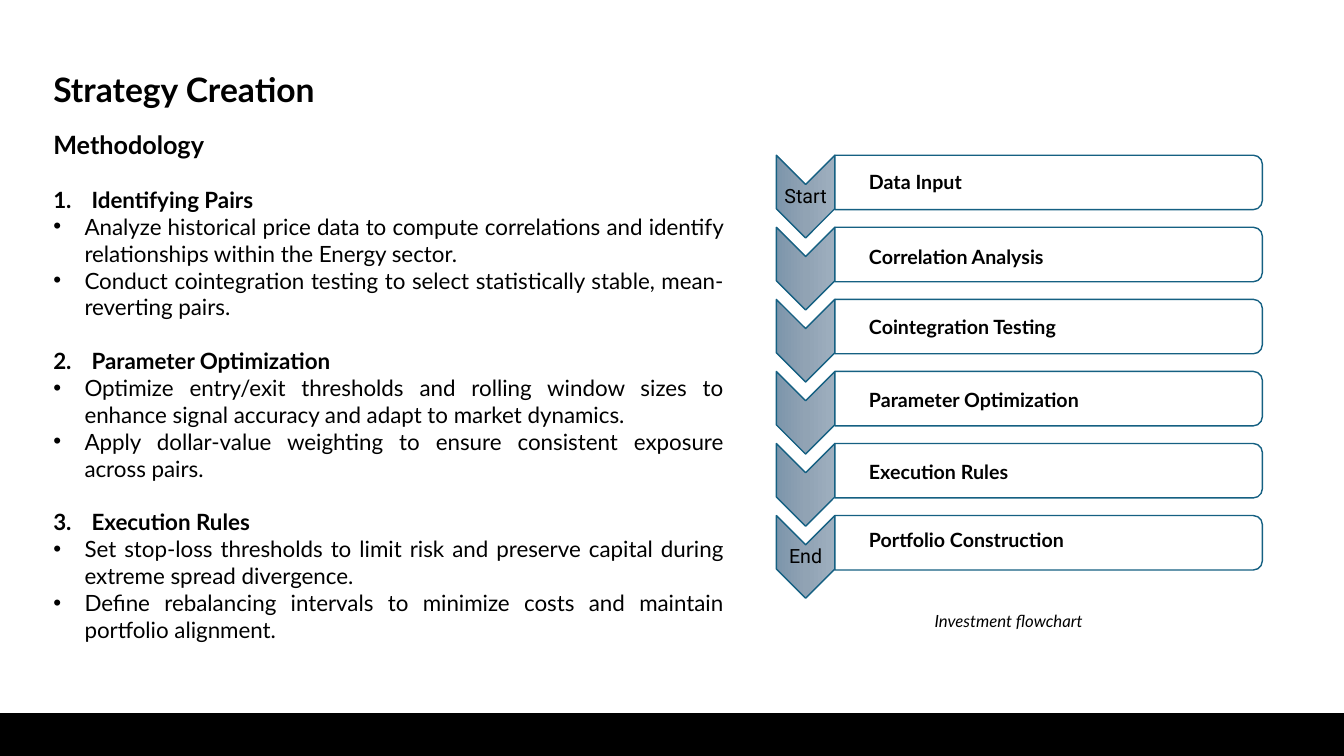
from lxml import etree
from pptx import Presentation
from pptx.dml.color import RGBColor
from pptx.enum.shapes import MSO_SHAPE
from pptx.enum.text import MSO_ANCHOR, PP_ALIGN
from pptx.oxml import parse_xml
from pptx.oxml.ns import qn
from pptx.util import Inches, Pt

RECTANGLE = MSO_SHAPE.RECTANGLE
CHEVRON = MSO_SHAPE.CHEVRON
STEP_BAR = MSO_SHAPE.ROUND_2_SAME_RECTANGLE
LEFT, CENTER, JUSTIFY = PP_ALIGN.LEFT, PP_ALIGN.CENTER, PP_ALIGN.JUSTIFY
MIDDLE = MSO_ANCHOR.MIDDLE

BLACK, WHITE, TEAL = "000000", "FFFFFF", "156082"
GRADIENT = (
    '<a:gradFill xmlns:a="http://schemas.openxmlformats.org/drawingml/2006/main" rotWithShape="1"><a:gsLst>'
    '<a:gs pos="0"><a:srgbClr val="9EAFBF"/></a:gs>'
    '<a:gs pos="50000"><a:srgbClr val="91A3B4"/></a:gs>'
    '<a:gs pos="100000"><a:srgbClr val="7C95AB"/></a:gs>'
    '</a:gsLst><a:lin ang="5400000" scaled="0"/></a:gradFill>'
)

deck = Presentation()
deck.slide_width, deck.slide_height = Inches(13.33), Inches(7.5)
slide = deck.slides.add_slide(deck.slide_layouts[6])


def add_block(preset, left, top, width, height, fill, line, weight, turn=0):
    block = slide.shapes.add_shape(preset, Inches(left), Inches(top), Inches(width), Inches(height))
    block.shadow.inherit = False
    block.rotation = turn
    block.fill.solid()
    block.fill.fore_color.rgb = RGBColor.from_string(fill)
    block.line.color.rgb = RGBColor.from_string(line)
    block.line.width = Pt(weight)
    return block


def add_text(left, top, width, height, lines, size, font="Lato", bold=False, align=LEFT):
    frame = slide.shapes.add_textbox(Inches(left), Inches(top), Inches(width), Inches(height)).text_frame
    frame.word_wrap = True
    for index, line in enumerate(lines):
        paragraph = frame.add_paragraph() if index else frame.paragraphs[0]
        paragraph.text = line
        paragraph.alignment = align
        paragraph.font.name = font
        paragraph.font.size = Pt(size)
        paragraph.font.bold = bold
        paragraph.font.color.rgb = RGBColor.from_string(BLACK)
    return frame


add_block(RECTANGLE, 0, 7.08, 13.33, 0.42, BLACK, BLACK, 1.5)
add_text(0.43, 0.63, 10.95, 0.5, ["Strategy Creation"], 24, bold=True)

methods = [
    ("Identifying Pairs",
     "Analyze historical price data to compute correlations and identify relationships within the Energy sector.",
     "Conduct cointegration testing to select statistically stable, mean-reverting pairs."),
    ("Parameter Optimization",
     "Optimize entry/exit thresholds and rolling window sizes to enhance signal accuracy and adapt to market dynamics.",
     "Apply dollar-value weighting to ensure consistent exposure across pairs."),
    ("Execution Rules",
     "Set stop-loss thresholds to limit risk and preserve capital during extreme spread divergence.",
     "Define rebalancing intervals to minimize costs and maintain portfolio alignment."),
]
method_lines = [line for method in methods for line in method]
methodology = add_text(0.43, 1.23, 6.85, 5.65, ["Methodology"] + method_lines, 16, align=JUSTIFY)
heading, *entries = methodology.paragraphs
heading.alignment = LEFT
heading.font.size = Pt(18)
heading.font.bold = True
for index, entry in enumerate(entries):
    number, position = divmod(index, len(methods[0]))
    is_title = position == 0
    indent = Inches(0.38 if is_title else 0.31)
    properties = entry._p.get_or_add_pPr()
    properties.set("marL", str(indent))
    properties.set("indent", str(-indent))
    if is_title:
        entry.font.bold = True
        entry.space_before = Pt(19.2)
        etree.SubElement(properties, qn("a:buFont"), typeface="+mj-lt")
        marker = etree.SubElement(properties, qn("a:buAutoNum"), type="arabicPeriod", startAt=str(number + 1))
    else:
        etree.SubElement(properties, qn("a:buFont"), typeface="Arial")
        marker = etree.SubElement(properties, qn("a:buChar"), char="•")
    run_defaults = properties.find(qn("a:defRPr"))
    properties.remove(run_defaults)
    properties.append(run_defaults)

caption = add_text(9.17, 6.01, 1.78, 0.3, ["Investment flowchart"], 12)
caption.word_wrap = False
caption.paragraphs[0].font.italic = True

steps = [
    ("Data Input", 1.64, "Start"),
    ("Correlation Analysis", 2.38, ""),
    ("Cointegration Testing", 3.08, ""),
    ("Parameter Optimization", 3.8, ""),
    ("Execution Rules", 4.51, ""),
    ("Portfolio Construction", 5.19, "End"),
]
flow_left, flow_top, pitch = 7.7, 1.54, 0.715
arrow_width, arrow_height = 0.58, 0.82
bar_width, bar_height = 4.24, 0.54
arrow_shift = (arrow_height - arrow_width) / 2
bar_shift = (bar_width - bar_height) / 2
for row, (step, label_top, tag) in enumerate(steps):
    top = flow_top + row * pitch
    arrow = add_block(CHEVRON, flow_left - arrow_shift, top + arrow_shift,
                      arrow_height, arrow_width, WHITE, TEAL, 1, turn=90)
    arrow_fill = arrow._element.spPr.find(qn("a:solidFill"))
    arrow_fill.getparent().replace(arrow_fill, parse_xml(GRADIENT))
    if tag:
        tag_frame = add_text(flow_left, top + 0.29, arrow_width, 0.25, [tag], 14, "Roboto", align=CENTER)
        tag_frame.vertical_anchor = MIDDLE
        tag_frame.margin_left = tag_frame.margin_right = Inches(0.01)
        tag_frame.margin_top = tag_frame.margin_bottom = Inches(0.01)
        tag_frame.paragraphs[0].line_spacing = 0.9
    bar = add_block(STEP_BAR, flow_left + arrow_width + bar_shift, top - bar_shift,
                    bar_height, bar_width, WHITE, TEAL, 1, turn=90)
    bar_color = bar._element.spPr.find(qn("a:solidFill"))[0]
    etree.SubElement(bar_color, qn("a:alpha"), val="90000")
    add_text(8.52, label_top, 3.58, 0.34, [step], 14, bold=True)

deck.save("out.pptx")
